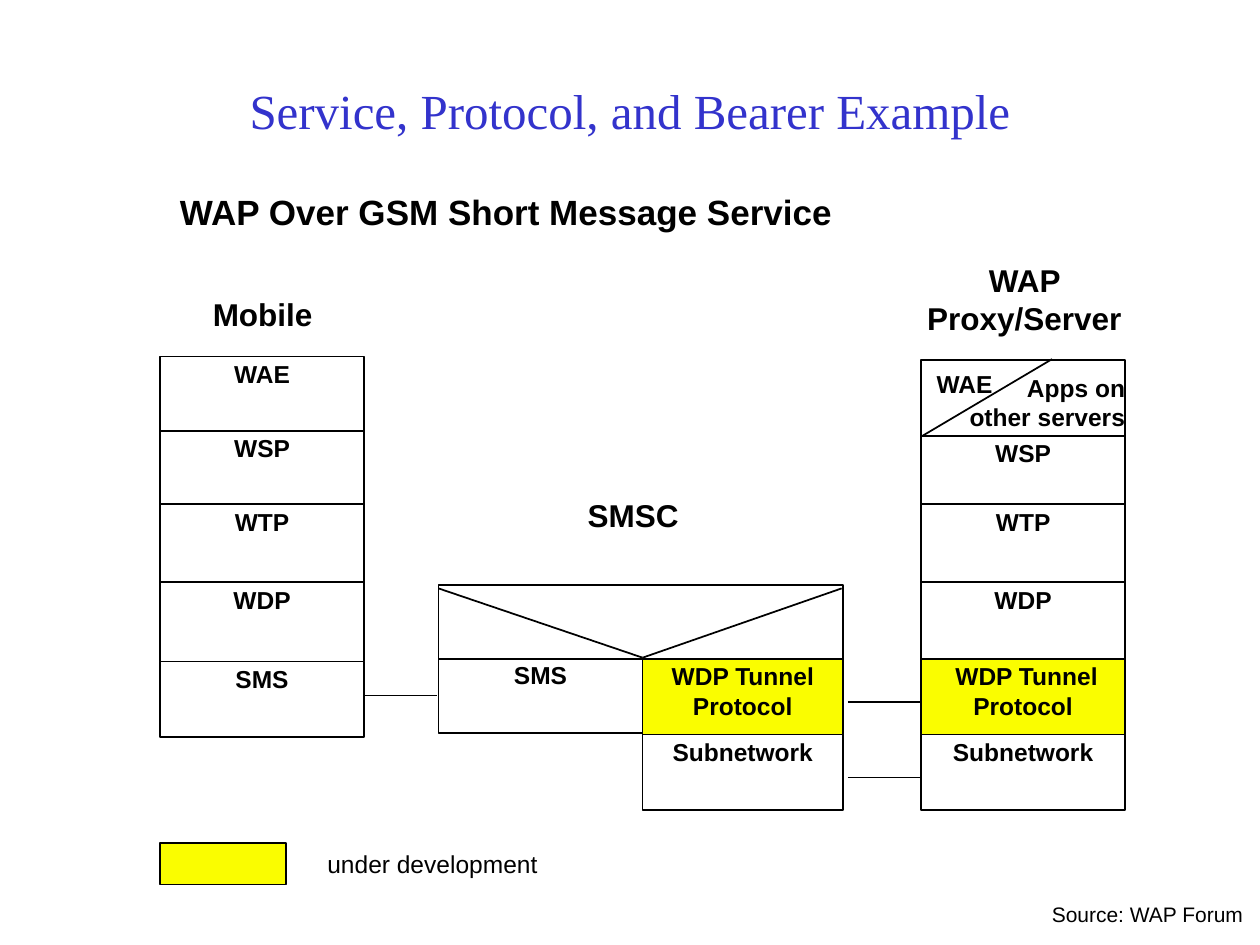
import pptx
import pptx.dml.color
import pptx.enum.shapes
import pptx.enum.text
import pptx.oxml.ns
import pptx.util
from lxml import etree
from pptx.util import Inches

RGBColor = pptx.dml.color.RGBColor
BLACK = RGBColor(0x00, 0x00, 0x00)
WHITE = RGBColor(0xFF, 0xFF, 0xFF)
YELLOW = RGBColor(0xFA, 0xFD, 0x00)
BLUE = RGBColor(0x33, 0x33, 0xCC)

ALIGN = pptx.enum.text.PP_ALIGN
ANCHOR = pptx.enum.text.MSO_ANCHOR
SHAPE = pptx.enum.shapes.MSO_SHAPE
LINK = pptx.enum.shapes.MSO_CONNECTOR

WIDE = 1.62
MID = 1.59


def put_text(shape, text, size=14, bold=True, font="Arial", color=BLACK,
             align=ALIGN.CENTER, anchor=ANCHOR.TOP, pad=(0.02, 0.02),
             wrap=True, space=None):
    """Fill a shape with text, one paragraph a line."""
    frame = shape.text_frame
    frame.word_wrap = wrap
    frame.vertical_anchor = anchor
    frame.margin_left = frame.margin_right = Inches(pad[0])
    frame.margin_top = frame.margin_bottom = Inches(pad[1])
    frame.text = text
    for para in frame.paragraphs:
        para.alignment = align
        para.line_spacing = space
        para.font.size = pptx.util.Pt(size)
        para.font.bold = bold
        para.font.name = font
        para.font.color.rgb = color


def add_box(slide, x, y, w, h, text="", fill=None, edge=True, **form):
    box = slide.shapes.add_shape(SHAPE.RECTANGLE, Inches(x), Inches(y),
                                 Inches(w), Inches(h))
    box.shadow.inherit = False
    if fill is None:
        box.fill.background()
    else:
        box.fill.solid()
        box.fill.fore_color.rgb = fill
    if edge:
        box.line.color.rgb = BLACK
        box.line.width = pptx.util.Pt(1)
    else:
        box.line.fill.background()
    if text:
        put_text(box, text, **form)


def add_label(slide, x, y, w, h, text, **form):
    label = slide.shapes.add_textbox(Inches(x), Inches(y),
                                     Inches(w), Inches(h))
    put_text(label, text, **form)


def add_line(slide, x1, y1, x2, y2):
    line = slide.shapes.add_connector(LINK.STRAIGHT, Inches(x1), Inches(y1),
                                      Inches(x2), Inches(y2))
    line.line.color.rgb = BLACK
    line.line.width = pptx.util.Pt(1)
    props = line._element.spPr
    etree.SubElement(props, pptx.oxml.ns.qn("a:effectLst"))


def add_stack(slide, x, y, w, layers):
    """Pile up layers of (text, height, fill) downward from y."""
    for text, high, fill in layers:
        add_box(slide, x, y, w, high, text, fill)
        y += high


def add_mobile(slide):
    add_stack(slide, 1.27, 2.83, WIDE, [
        ("WAE", 0.59, None),
        ("WSP", 0.58, None),
        ("WTP", 0.62, None),
        ("WDP", 0.63, None),
        ("SMS", 0.6, WHITE),
    ])


def add_center(slide):
    add_box(slide, 3.48, 5.22, WIDE, 0.6, "SMS", WHITE)
    add_stack(slide, 5.1, 5.23, MID, [
        ("WDP Tunnel Protocol", 0.6, YELLOW),
        ("Subnetwork", 0.6, None),
    ])
    add_box(slide, 3.48, 4.64, WIDE + MID, 0.59, fill=WHITE)
    for x in (3.48, 6.68):
        add_line(slide, 5.1, 5.22, x, 4.67)


def add_server(slide):
    add_stack(slide, 7.31, 2.86, WIDE, [
        ("", 0.6, None),
        ("WSP", 0.54, None),
        ("WTP", 0.62, None),
        ("WDP", 0.61, None),
        (" WDP Tunnel\nProtocol", 0.6, YELLOW),
        ("Subnetwork", 0.6, None),
    ])
    add_line(slide, 7.32, 3.46, 8.35, 2.85)
    add_label(slide, 7.14, 2.91, 1.03, 0.3, "WAE")
    add_label(slide, 7.33, 2.94, WIDE, 0.45, "Apps on\nother servers",
              align=ALIGN.RIGHT)


def add_heads(slide):
    for x, y, w, h, text in (
        (4.36, 3.92, 1.33, 0.42, "SMSC"),
        (7.17, 2.05, 1.92, 0.75, "WAP Proxy/Server"),
        (1.42, 2.32, 1.33, 0.45, "Mobile"),
    ):
        add_box(slide, x, y, w, h, text, WHITE, edge=False, size=18)


def add_notes(slide):
    """Title, subtitle, colour key and source line."""
    plain = dict(pad=(0.1, 0.05), align=ALIGN.LEFT)
    add_label(slide, 0.75, 0.25, 8.5, 1.25,
              "Service, Protocol, and Bearer Example", size=28, bold=False,
              font="Times New Roman", color=BLUE, anchor=ANCHOR.MIDDLE,
              pad=(0.1, 0.05))
    add_label(slide, 1.33, 1.5, 6.67, 0.4, "WAP Over GSM Short Message Service",
              size=20, space=0.9, **plain)
    add_box(slide, 1.27, 6.69, 1, 0.33, fill=YELLOW)
    add_label(slide, 2.5, 6.69, 1.87, 0.34, "under development",
              bold=False, wrap=False, **plain)
    add_label(slide, 8.25, 7.11, 1.73, 0.3, "Source: WAP Forum",
              size=12, bold=False, wrap=False, **plain)


def main():
    deck = pptx.Presentation()
    deck.slide_width, deck.slide_height = Inches(10), Inches(7.5)
    slide = deck.slides.add_slide(deck.slide_layouts[6])
    add_mobile(slide)
    add_center(slide)
    add_server(slide)
    add_heads(slide)
    for x1, x2, y in ((2.9, 3.47, 5.52), (6.73, 7.31, 5.57), (6.73, 7.31, 6.17)):
        add_line(slide, x1, y, x2, y)
    add_notes(slide)
    deck.save("out.pptx")


if __name__ == "__main__":
    main()
